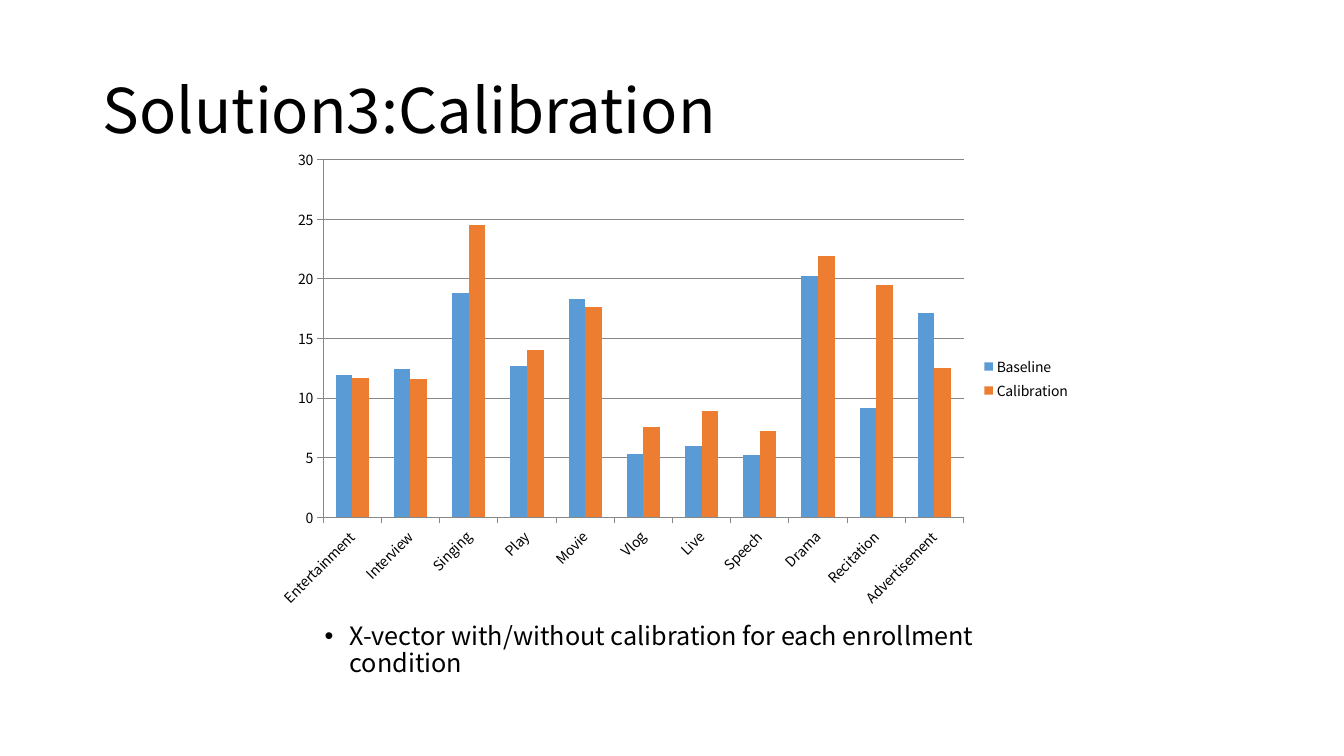
from lxml import etree
from pptx import Presentation
from pptx.chart.data import CategoryChartData
from pptx.dml.color import RGBColor
from pptx.enum.chart import XL_CHART_TYPE, XL_LEGEND_POSITION, XL_TICK_MARK
from pptx.enum.text import MSO_ANCHOR, MSO_AUTO_SIZE, PP_ALIGN
from pptx.oxml.ns import qn
from pptx.util import Emu, Pt

EMU_PER_PX = 9144  # 100 px to the inch
SLIDE_SIZE = (1333, 750)
TITLE_ONLY_LAYOUT = 5
COLUMNS = XL_CHART_TYPE.COLUMN_CLUSTERED
LEGEND_RIGHT = XL_LEGEND_POSITION.RIGHT
TICK_OUTSIDE = XL_TICK_MARK.OUTSIDE
MIDDLE, TOP = MSO_ANCHOR.MIDDLE, MSO_ANCHOR.TOP
NO_AUTOFIT = MSO_AUTO_SIZE.NONE
LEFT = PP_ALIGN.LEFT

CONDITIONS = ["Entertainment", "Interview", "Singing", "Play", "Movie", "Vlog",
              "Live", "Speech", "Drama", "Recitation", "Advertisement"]
SERIES = [
    ("Baseline", "5B9BD5",
     [11.9, 12.4, 18.8, 12.7, 18.3, 5.3, 6, 5.2, 20.2, 9.2, 17.1]),
    ("Calibration", "ED7D31",
     [11.7, 11.6, 24.5, 14, 17.6, 7.6, 8.9, 7.2, 21.9, 19.5, 12.5]),
]


def px(length):
    return Emu(length * EMU_PER_PX)


def color(hex_string):
    return RGBColor.from_string(hex_string)


def assign(target, values):
    """Set each attribute of target named in the dict of values."""
    for name, value in values.items():
        setattr(target, name, value)


class SlideBuilder:
    font_name = "Noto Sans CJK JP"
    text_color = "000000"
    line_color = "878787"

    def __init__(self, page):
        self.page = page

    def style_font(self, font, size):
        assign(font, {"name": self.font_name, "size": Pt(size), "bold": False})
        font.color.rgb = color(self.text_color)

    def fill_text(self, box, text, size, anchor):
        """Write one left-aligned paragraph into the box and return it."""
        frame = box.text_frame
        assign(frame, {"word_wrap": True, "auto_size": NO_AUTOFIT,
                       "vertical_anchor": anchor})
        para = frame.paragraphs[0]
        assign(para, {"alignment": LEFT, "line_spacing": 0.9})
        span = para.add_run()
        span.text = text
        self.style_font(span.font, size)
        return para

    def title(self, text, left, top, width, height, size):
        box = self.page.shapes.title
        assign(box, {"left": px(left), "top": px(top),
                     "width": px(width), "height": px(height)})
        self.fill_text(box, text, size, MIDDLE)

    def bullet(self, text, left, top, width, height, size, indent):
        box = self.page.shapes.add_textbox(*map(px, (left, top, width, height)))
        para = self.fill_text(box, text, size, TOP)
        properties = para._p.get_or_add_pPr()
        properties.set("marL", str(px(indent)))
        properties.set("indent", str(px(-indent)))
        etree.SubElement(properties, qn("a:buFont"), typeface="Arial")
        etree.SubElement(properties, qn("a:buChar"), char="•")

    def column_chart(self, categories, series_rows, left, top, width, height, size):
        data = CategoryChartData()
        data.categories = categories
        for name, _, values in series_rows:
            data.add_series(name, values)
        frame = self.page.shapes.add_chart(
            COLUMNS, *map(px, (left, top, width, height)), data)
        chart = frame.chart
        assign(chart, {"has_title": False, "has_legend": True})
        assign(chart.legend, {"position": LEGEND_RIGHT, "include_in_layout": False})
        self.style_font(chart.font, size)

        plot = chart.plots[0]
        assign(plot, {"gap_width": 150, "overlap": 0, "vary_by_categories": False})
        for series, (_, fill_color, _) in zip(plot.series, series_rows):
            series.format.fill.solid()
            series.format.fill.fore_color.rgb = color(fill_color)

        value_axis = chart.value_axis
        assign(value_axis, {"minimum_scale": 0, "maximum_scale": 30,
                            "major_unit": 5, "has_major_gridlines": True})
        for axis in (chart.category_axis, value_axis):
            axis.major_tick_mark = TICK_OUTSIDE
            self.style_line(axis.format.line)
        self.style_line(value_axis.major_gridlines.format.line)

    def style_line(self, line):
        line.width = Pt(0.75)
        line.color.rgb = color(self.line_color)


def main():
    deck = Presentation()
    deck.slide_width, deck.slide_height = map(px, SLIDE_SIZE)
    page = deck.slides.add_slide(deck.slide_layouts[TITLE_ONLY_LAYOUT])
    builder = SlideBuilder(page)
    builder.title("Solution3:Calibration", 92, 40, 1150, 145, size=44)
    builder.bullet("X-vector with/without calibration for each enrollment condition",
                   312, 614, 672, 50, size=18, indent=25)
    builder.column_chart(CONDITIONS, SERIES, 261, 139, 811, 473, size=10)
    deck.save("out.pptx")


if __name__ == "__main__":
    main()
